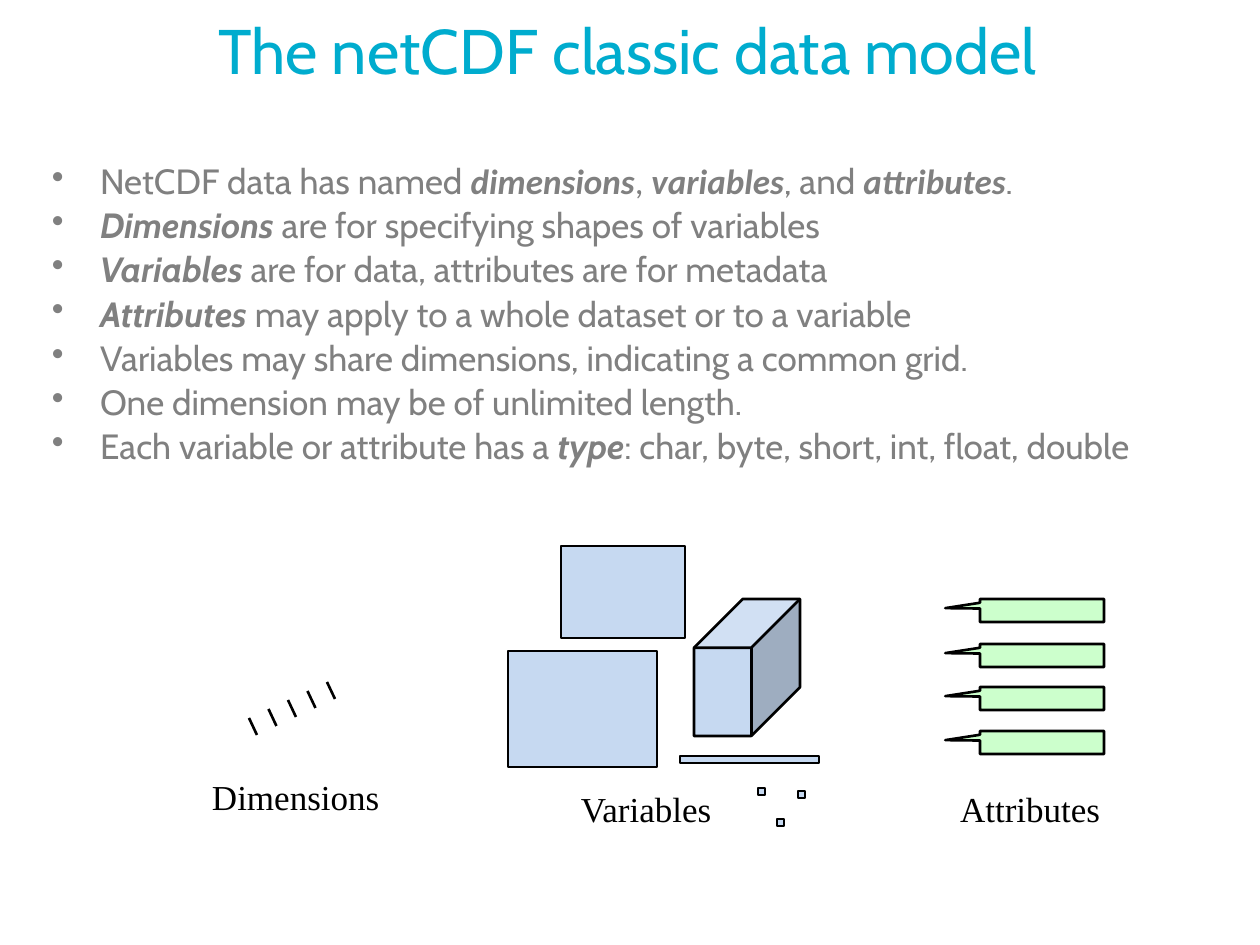
from lxml import etree
from pptx import Presentation
from pptx import util as u
from pptx.dml.color import RGBColor
from pptx.enum import shapes as sh, text as tx
from pptx.oxml.ns import qn

PX = 914400 / 126  # EMU in one px
BLUE, GREEN, BLACK = "C6D9F1", "CCFFCC", "000000"

TITLE = "The netCDF classic data model"
# Each run is (text, font, strong).
A, B = "Cabin", "Calibri"
BULLETS = [
    [("NetCDF data has named ", A, False), ("dimensions", B, True),
     (", ", B, False), ("variables", B, True), (", and ", A, False),
     ("attributes", B, True), (".", A, False)],
    [("Dimensions", A, True),
     (" are for specifying shapes of variables", A, False)],
    [("Variables", A, True),
     (" are for data, attributes are for metadata", A, False)],
    [("Attributes", A, True),
     (" may apply to a whole dataset or to a variable", A, False)],
    [("Variables may share dimensions, indicating a common grid.", A, False)],
    [("One dimension may be of unlimited length.", A, False)],
    [("Each variable or attribute has a ", A, False), ("type", A, True),
     (": char, byte, short, int, float, double", A, False)],
]
LABELS = {
    "Dimensions": (207, 776, 217, 53),
    "Variables": (576, 788, 176, 53),
    "Attributes": (955, 788, 183, 53),
}
TICKS = 5
GRIDS = [(508, 651, 149, 116), (561, 546, 124, 92), (680, 756, 139, 7)]
SCALARS = [(758, 788), (798, 791), (777, 819)]
CUBE = (694, 599, 106, 137)
NOTES = [599, 644, 687, 731]


def px(*vals):
    return [u.Emu(round(v * PX)) for v in vals]


def rgb(code):
    return RGBColor.from_string(code)


def style(run, **fmt):
    color = fmt.pop("color")
    for key, val in fmt.items():
        setattr(run.font, key, val)
    run.font.color.rgb = rgb(color)


def text_box(host, box, pad, anchor=tx.MSO_ANCHOR.TOP):
    """Add a wrapping box; pad is left, top, right, bottom."""
    frame = host.add_textbox(*px(*box)).text_frame
    sides = ("left", "top", "right", "bottom")
    fmt = {f"margin_{s}": v for s, v in zip(sides, px(*pad))}
    fmt.update(word_wrap=True, vertical_anchor=anchor)
    for key, val in fmt.items():
        setattr(frame, key, val)
    return frame


def bullet(par, indent):
    props = par._p.get_or_add_pPr()
    props.set("marL", str(indent))
    props.set("indent", str(-indent))
    etree.SubElement(props, qn("a:buChar")).set("char", "•")


def shape(host, kind, box, fill, adjust=()):
    item = host.add_shape(kind, *px(*box))
    item.shadow.inherit = False
    item.fill.solid()
    item.fill.fore_color.rgb = rgb(fill)
    item.line.color.rgb = rgb(BLACK)
    item.line.width = u.Pt(1.5)
    for i, val in enumerate(adjust):
        item.adjustments[i] = val


def tick(host, *ends):
    line = host.add_connector(sh.MSO_CONNECTOR.STRAIGHT, *px(*ends))
    line.line.color.rgb = rgb(BLACK)
    line.line.width = u.Pt(1.5)
    etree.SubElement(line._element.spPr, qn("a:effectLst"))


def label(host, name):
    par = text_box(host, LABELS[name], (5, 0, 5, 0)).paragraphs[0]
    run = par.add_run()
    run.text = name
    style(run, name="Times New Roman", size=u.Pt(20), color=BLACK)


def add_title(host):
    frame = text_box(host, (63, 0, 1134, 98), (13, 6, 18, 6),
                     tx.MSO_ANCHOR.MIDDLE)
    par = frame.paragraphs[0]
    par.alignment = tx.PP_ALIGN.CENTER
    run = par.add_run()
    run.text = TITLE
    style(run, name=A, size=u.Pt(36), color="00ACCE")


def add_body(host):
    frame = text_box(host, (39, 158, 1189, 368), (13, 6, 18, 6))
    for i, row in enumerate(BULLETS):
        par = frame.add_paragraph() if i else frame.paragraphs[0]
        bullet(par, px(48)[0])
        par.line_spacing = 0.9
        par.space_before = u.Pt(3.7 if i else 0)
        for words, face, strong in row:
            run = par.add_run()
            run.text = words
            style(run, name=face, size=u.Pt(20), bold=strong,
                  italic=strong, color="808080")


def add_dims(host):
    label(host, "Dimensions")
    for i in range(TICKS):
        x, y = 257 + 19.5 * i, 735 - 9 * i
        tick(host, x, y, x - 8, y - 17)


def add_vars(host):
    label(host, "Variables")
    kinds = sh.MSO_SHAPE
    for box in GRIDS + [(x, y, 7, 7) for x, y in SCALARS]:
        shape(host, kinds.RECTANGLE, box, BLUE)
    shape(host, kinds.CUBE, CUBE, BLUE, [0.46])


def add_attrs(host):
    label(host, "Attributes")
    for y in NOTES:
        shape(host, sh.MSO_SHAPE.RECTANGULAR_CALLOUT, (980, y, 124, 23),
              GREEN, [-0.78, -0.1])


def main():
    deck = Presentation()
    deck.slide_width, deck.slide_height = px(1260, 945)
    host = deck.slides.add_slide(deck.slide_layouts[6]).shapes
    add_title(host)
    add_body(host)
    for draw in (add_dims, add_attrs, add_vars):
        draw(host.add_group_shape().shapes)
    deck.save("out.pptx")


if __name__ == "__main__":
    main()
